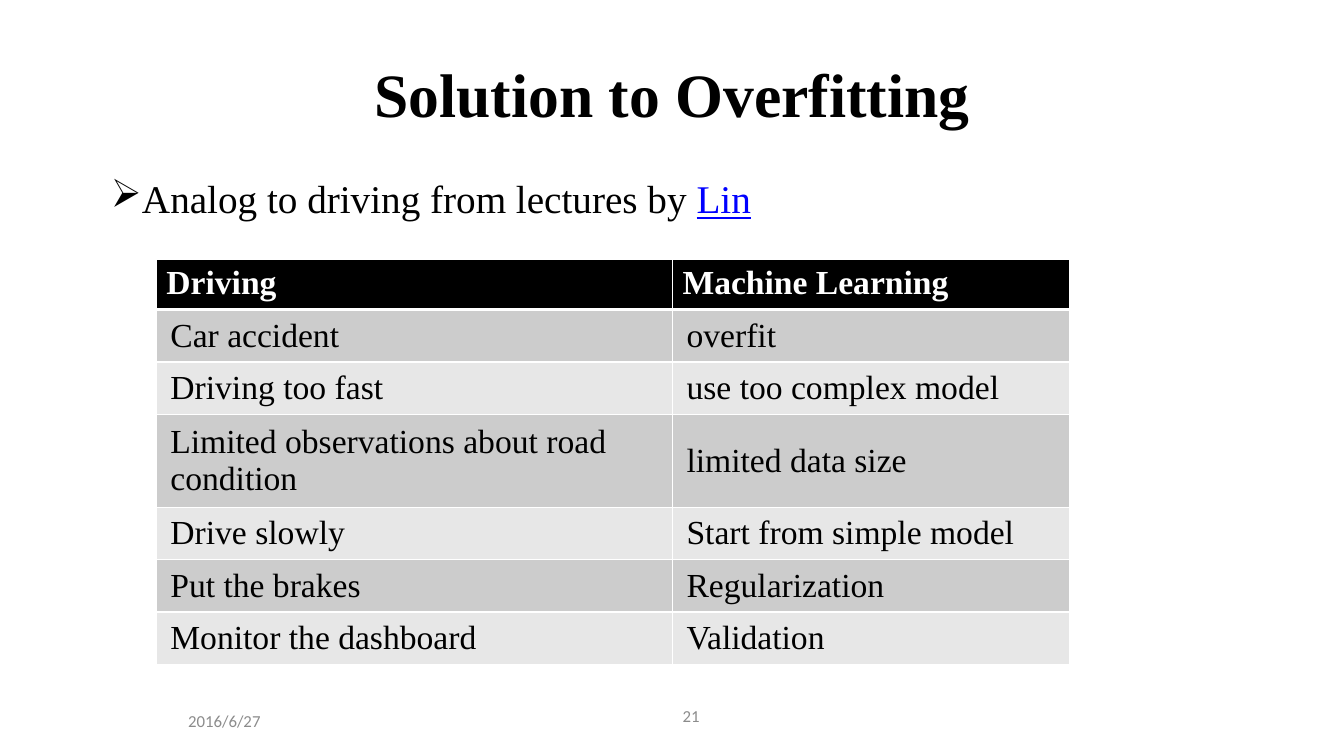
"""Builds the slide "Solution to Overfitting" with its driving analogy table."""
from lxml import etree
from pptx import Presentation
from pptx.dml.color import RGBColor
from pptx.enum.text import MSO_ANCHOR as ANCHOR, PP_ALIGN as ALIGN
from pptx.oxml import parse_xml
from pptx.oxml.ns import nsdecls, qn
from pptx.util import Inches, Pt

BLACK = RGBColor(0x00, 0x00, 0x00)
WHITE = RGBColor(0xFF, 0xFF, 0xFF)
GRAY = RGBColor(0x8C, 0x8C, 0x8C)
BLUE = RGBColor(0x00, 0x00, 0xFF)
DARK_BAND = RGBColor(0xCC, 0xCC, 0xCC)
LIGHT_BAND = RGBColor(0xE7, 0xE7, 0xE7)
SERIF = "Times New Roman"

ROWS = [
    ("Driving", "Machine Learning"),
    ("Car accident", "overfit"),
    ("Driving too fast", "use too complex model"),
    ("Limited observations about road condition", "limited data size"),
    ("Drive slowly", "Start from simple model"),
    ("Put the brakes", "Regularization"),
    ("Monitor the dashboard", "Validation"),
]

prs = Presentation()
prs.slide_width, prs.slide_height = Inches(13.33), Inches(7.5)
s = prs.slides.add_slide(prs.slide_layouts[6])


def style(p, size, color, name=SERIF, bold=False):
    p.font.size, p.font.name, p.font.bold = Pt(size), name, bold
    p.font.color.rgb = color


def add_text(text, left, top, width, height):
    tf = s.shapes.add_textbox(*map(Inches, (left, top, width, height))).text_frame
    tf.word_wrap = True
    tf.vertical_anchor = ANCHOR.MIDDLE
    p = tf.paragraphs[0]
    p.text = text
    p.alignment = ALIGN.CENTER
    return p


style(add_text("Solution to Overfitting", 0.67, 0.3, 12, 1.25), 44, BLACK, bold=True)

table = s.shapes.add_table(len(ROWS), 2, Inches(1.55), Inches(2.57),
                           Inches(9.06), Inches(3.34)).table
for column, width in zip(table.columns, (5.12, 3.94)):
    column.width = Inches(width)

for i, labels in enumerate(ROWS):
    table.rows[i].height = Inches(0.48 if i else 0.46)
    for j, label in enumerate(labels):
        cell = table.cell(i, j)
        cell.text = label
        cell.fill.solid()
        if i == 0:
            cell.fill.fore_color.rgb = BLACK
        else:
            cell.fill.fore_color.rgb = DARK_BAND if i % 2 else LIGHT_BAND
            cell.vertical_anchor = ANCHOR.MIDDLE
            cell.margin_left = cell.margin_right = Inches(0.14)
            cell.margin_top = cell.margin_bottom = Inches(0.06)
        style(cell.text_frame.paragraphs[0], 24, BLACK if i else WHITE, bold=i == 0)
        for k, side in enumerate("LRTB"):
            under_header = (i, side) in ((0, "B"), (1, "T"))
            border = parse_xml(
                f'<a:ln{side} {nsdecls("a")} w="{Pt(3 if under_header else 1)}">'
                f'<a:solidFill><a:srgbClr val="{WHITE}"/></a:solidFill></a:ln{side}>')
            cell._tc.get_or_add_tcPr().insert(k, border)

for text, left, top in (("2016/6/27", 0.67, 6.95), ("21", 5.3, 6.9)):
    style(add_text(text, left, top, 3.11, 0.4), 12, GRAY, "Calibri")

p = add_text("Analog to driving from lectures by ", 1, 1.68, 11.18, 0.57)
p.alignment = ALIGN.LEFT
style(p, 28, BLACK)
r = p.add_run()
r.text = "Lin"
r.font.color.rgb = BLUE
r.font.underline = True
pPr = p._p.get_or_add_pPr()
pPr.set("marL", str(Inches(0.31)))
pPr.set("indent", str(-Inches(0.31)))
bullet = etree.Element(qn("a:buChar"), char="➢")
pPr.insert(0, bullet)

prs.save("out.pptx")
